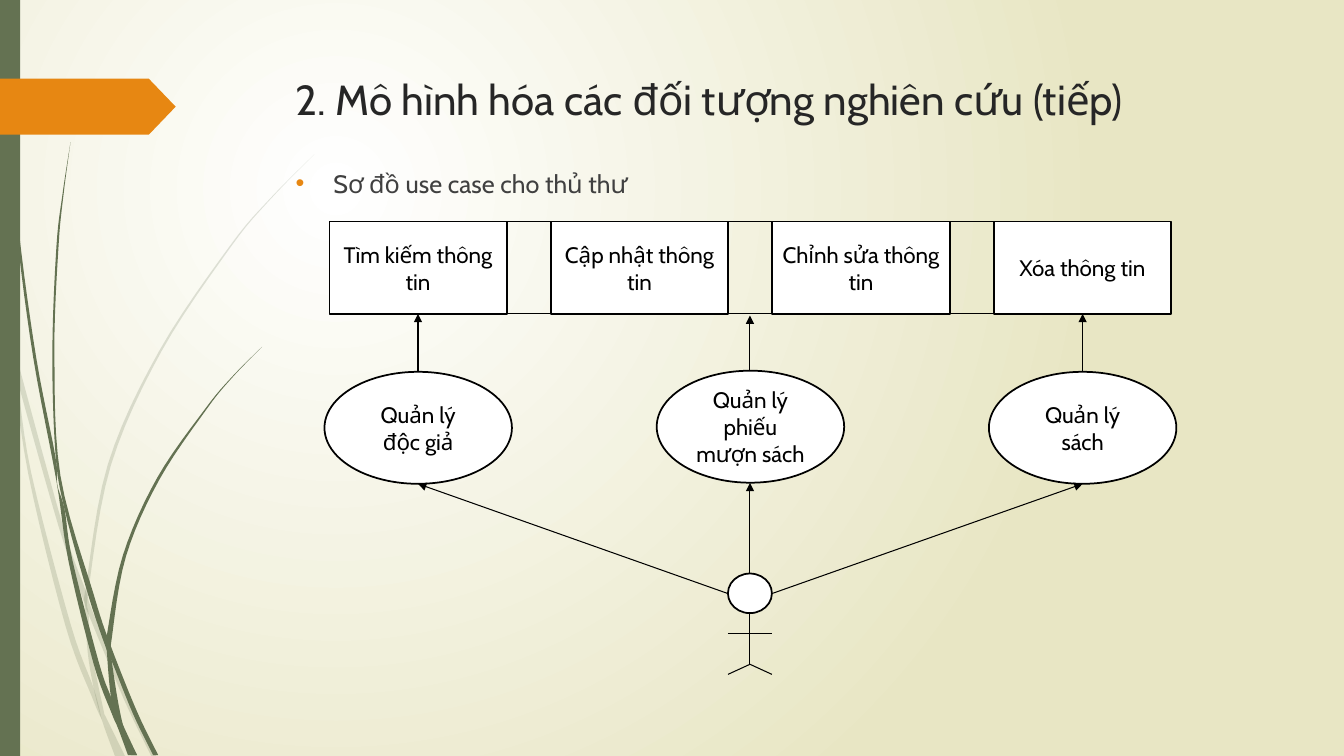
"""Build the slide with the librarian use case diagram."""
import pptx
import pptx.dml.color
import pptx.enum.shapes
import pptx.enum.text
import pptx.oxml
import pptx.oxml.ns
import pptx.util

Pt = pptx.util.Pt
RGBColor = pptx.dml.color.RGBColor
SHAPE = pptx.enum.shapes.MSO_SHAPE
ALIGN = pptx.enum.text.PP_ALIGN
ANCHOR = pptx.enum.text.MSO_ANCHOR
qn = pptx.oxml.ns.qn
NS = pptx.oxml.ns.nsdecls("a")

WHITE = RGBColor(0xFF, 0xFF, 0xFF)
BLACK = RGBColor(0, 0, 0)
SAND = RGBColor(0xE8, 0xE6, 0xC4)
GREEN = RGBColor(0x64, 0x72, 0x52)
ORANGE = RGBColor(0xE7, 0x87, 0x12)
TITLE_GREY = RGBColor(0x26, 0x26, 0x26)
BODY_GREY = RGBColor(0x40, 0x40, 0x40)

PALE_BLADES = [
    ([(0, 203), (6.5, 231.8), (10.1, 248.4), (44.6, 374.4), (61.2, 421.9), (66.2, 437), (91.4, 498.2), (111.6, 540)],
     [(108, 540), (88.6, 499.7), (63.4, 439.2), (60.5, 431.3), (41.8, 375.8), (12.2, 270.7), (7.2, 247.7), (0, 215.3)]),
    ([(7.9, 252), (12.2, 270.7), (22.3, 337.7), (50.4, 445.7), (67, 491.8), (72.7, 514)],
     [(72.7, 514), (66.2, 499), (46.8, 447.1), (20.2, 338.4), (7.9, 252)]),
    ([(224.6, 110.2), (193, 141.8), (164.2, 175.7), (113.8, 250.6), (77, 331.9), (61.2, 420.5), (60.5, 431.3),
      (62.6, 465.1), (67, 491.8), (72.7, 514), (82.1, 540)],
     [(89.3, 540), (75.6, 512), (74.2, 508.3), (65.5, 465.1), (63.4, 439.2), (63.4, 420.5), (79.2, 332.6),
      (115.2, 251.3), (164.9, 176.4), (193, 142.6), (224.6, 110.2)]),
]
DARK_BLADES = [
    ([(2.2, 0), (2.9, 34.6), (5, 79.2), (12.2, 167.8), (23.8, 255.6), (40.3, 343.4), (49, 401), (67, 474.5),
      (79.9, 509.8), (84.2, 519.8), (91.4, 539.3)],
     [(97.9, 539.3), (87.8, 517.7), (79.2, 497.5), (70.6, 473), (51.8, 400.3), (46.1, 363.6), (41, 346.3),
      (39.6, 326.2), (25.9, 255.6), (13.7, 167), (5.8, 78.5), (3.6, 34.6), (2.9, 0)]),
    ([(50.4, 101.5), (44.6, 139), (40.3, 176.4), (37.4, 251.3), (39.6, 323.3), (46.1, 363.6), (63.4, 426.2),
      (76.3, 464.4), (79.9, 472.3), (95, 509.8), (109.4, 539.3)],
     [(113, 539.3), (97.9, 508.3), (79.2, 461.5), (67, 424.8), (43.2, 339.8), (38.9, 251.3), (41.8, 176.4),
      (45.4, 139), (50.4, 101.5)]),
    ([(187.2, 247.7), (166.3, 268.6), (146.9, 291.6), (112.3, 341.3), (87.8, 396.7), (76.3, 454.3),
      (76.3, 464.4), (79.2, 497.5), (84.2, 518.4), (93.6, 539.3)],
     [(97.9, 539.3), (87.8, 517.7), (79.9, 472.3), (79.9, 455.8), (90, 397.4), (113.8, 342.7), (147.6, 292.3),
      (166.3, 269.3), (187.2, 247.7)]),
]


def smooth(knots, steps=6):
    padded = [knots[0], *knots, knots[-1]]
    points = []
    for a, b, c, d in zip(padded, padded[1:], padded[2:], padded[3:]):
        for i in range(steps):
            t = i / steps
            points.append(tuple(
                Pt(0.5 * (2 * q + (s - o) * t + (2 * o - 5 * q + 4 * s - u) * t**2
                          + (3 * q - o - 3 * s + u) * t**3))
                for o, q, s, u in zip(a, b, c, d)))
    return points + [(Pt(knots[-1][0]), Pt(knots[-1][1]))]


def add_box(kind, x, y, w, h, fill, line=None, text=""):
    sp = shapes.add_shape(kind, Pt(x), Pt(y), Pt(w), Pt(h))
    sp.shadow.inherit = False
    sp.fill.solid()
    sp.fill.fore_color.rgb = fill
    if line is None:
        sp.line.fill.background()
    else:
        sp.line.color.rgb = line
        sp.line.width = Pt(1.25)
    if text:
        sp.text_frame.vertical_anchor = ANCHOR.MIDDLE
        p = sp.text_frame.paragraphs[0]
        p.alignment = ALIGN.CENTER
        r = p.add_run()
        r.text = text
        r.font.name, r.font.size = "Cabin", Pt(16)
        r.font.color.rgb = BLACK
    return sp


prs = pptx.Presentation()
prs.slide_width, prs.slide_height = Pt(960), Pt(540)
s = prs.slides.add_slide(prs.slide_layouts[6])
shapes = s.shapes

s.background.fill.gradient()
stops = s.background.fill.gradient_stops
for stop, color, position in zip(stops, (WHITE, SAND), (0, 1)):
    stop.color.rgb = color
    stop.position = position
grad = s.background._cSld.find(".//" + qn("a:gradFill"))
grad.replace(grad.find(qn("a:lin")), pptx.oxml.parse_xml(
    f'<a:path {NS} path="circle"><a:fillToRect l="50000" t="50000" r="100000" b="100000"/></a:path>'))

for blades, alpha in ((PALE_BLADES, 20), (DARK_BLADES, 100)):
    for left_edge, right_edge in blades:
        outline = smooth(left_edge) + smooth(right_edge)
        builder = shapes.build_freeform(*outline[0])
        builder.add_line_segments(outline[1:], close=True)
        sp = builder.convert_to_shape()
        sp.shadow.inherit = False
        sp.fill.solid()
        sp.fill.fore_color.rgb = GREEN
        sp.line.fill.background()
        if alpha < 100:
            sp._element.spPr.find(".//" + qn("a:srgbClr")).append(
                pptx.oxml.parse_xml(f'<a:alpha {NS} val="{alpha * 1000}"/>'))

add_box(SHAPE.RECTANGLE, 0, 0, 14.4, 540, GREEN)
tag = add_box(SHAPE.PENTAGON, 0, 56.2, 125.5, 40, ORANGE)
tag.adjustments[0] = 0.48

for text, y, h, size, color in (
        ("2. Mô hình hóa các đối tượng nghiên cứu (tiếp)", 49, 53.3, 30, TITLE_GREY),
        ("Sơ đồ use case cho thủ thư", 116.6, 414.7, 18, BODY_GREY)):
    tf = shapes.add_textbox(Pt(204), Pt(y), Pt(702), Pt(h)).text_frame
    tf.word_wrap = True
    p = tf.paragraphs[0]
    r = p.add_run()
    r.text = text
    r.font.name, r.font.size = "Cabin", Pt(size)
    r.font.color.rgb = color
p.space_before = Pt(10)
pPr = p._p.get_or_add_pPr()
pPr.set("marL", str(Pt(27)))
pPr.set("indent", str(-Pt(27)))
for bullet in (f'<a:buClr {NS}><a:srgbClr val="{ORANGE}"/></a:buClr>',
               f'<a:buFont {NS} typeface="Arial"/>', f'<a:buChar {NS} char="•"/>'):
    pPr.append(pptx.oxml.parse_xml(bullet))

actions = ["Tìm kiếm thông tin", "Cập nhật thông tin", "Chỉnh sửa thông tin", "Xóa thông tin"]
for i, text in enumerate(actions):
    add_box(SHAPE.RECTANGLE, 235.3 + i * 158.2, 158.2, 126.7, 66, WHITE, BLACK, text)

use_cases = [("Quản lý độc giả", 265.6), ("Quản lý phiếu mượn sách", 264.8), ("Quản lý sách", 265.6)]
for i, (text, y) in enumerate(use_cases):
    add_box(SHAPE.OVAL, 231.8 + i * 237.3, y, 133.9, 80, WHITE, BLACK, text)

add_box(SHAPE.OVAL, 520, 409.7, 31.4, 28.3, WHITE, BLACK)

left, mid, right = 298.6, 535.7, 773.3
hand_left, hand_right = 520, 551.4
lines = [
    (362, 158.2, 710, 158.2, False),
    (362, 224.2, 710, 224.2, False),
    (mid, 438, mid, 474.5, False),
    (hand_left, 452.2, hand_right, 452.2, False),
    (mid, 474.5, hand_left, 481.7, False),
    (mid, 474.5, hand_right, 481.7, False),
    (mid, 409.7, mid, 344.9, True),
    (hand_right, 424, right, 345.6, True),
    (hand_left, 424, left, 345.6, True),
    (left, 265.6, left, 224.2, True),
    (mid, 264.8, mid, 225.4, True),
    (right, 265.6, right, 224.2, True),
]
for x1, y1, x2, y2, arrow in lines:
    cxn = shapes.add_connector(pptx.enum.shapes.MSO_CONNECTOR.STRAIGHT, Pt(x1), Pt(y1), Pt(x2), Pt(y2))
    cxn.line.color.rgb = BLACK
    cxn.line.width = Pt(0.75)
    if arrow:
        cxn.line._get_or_add_ln().append(pptx.oxml.parse_xml(f'<a:tailEnd {NS} type="triangle"/>'))
    cxn._element.spPr.append(pptx.oxml.parse_xml(f"<a:effectLst {NS}/>"))

prs.save("out.pptx")
